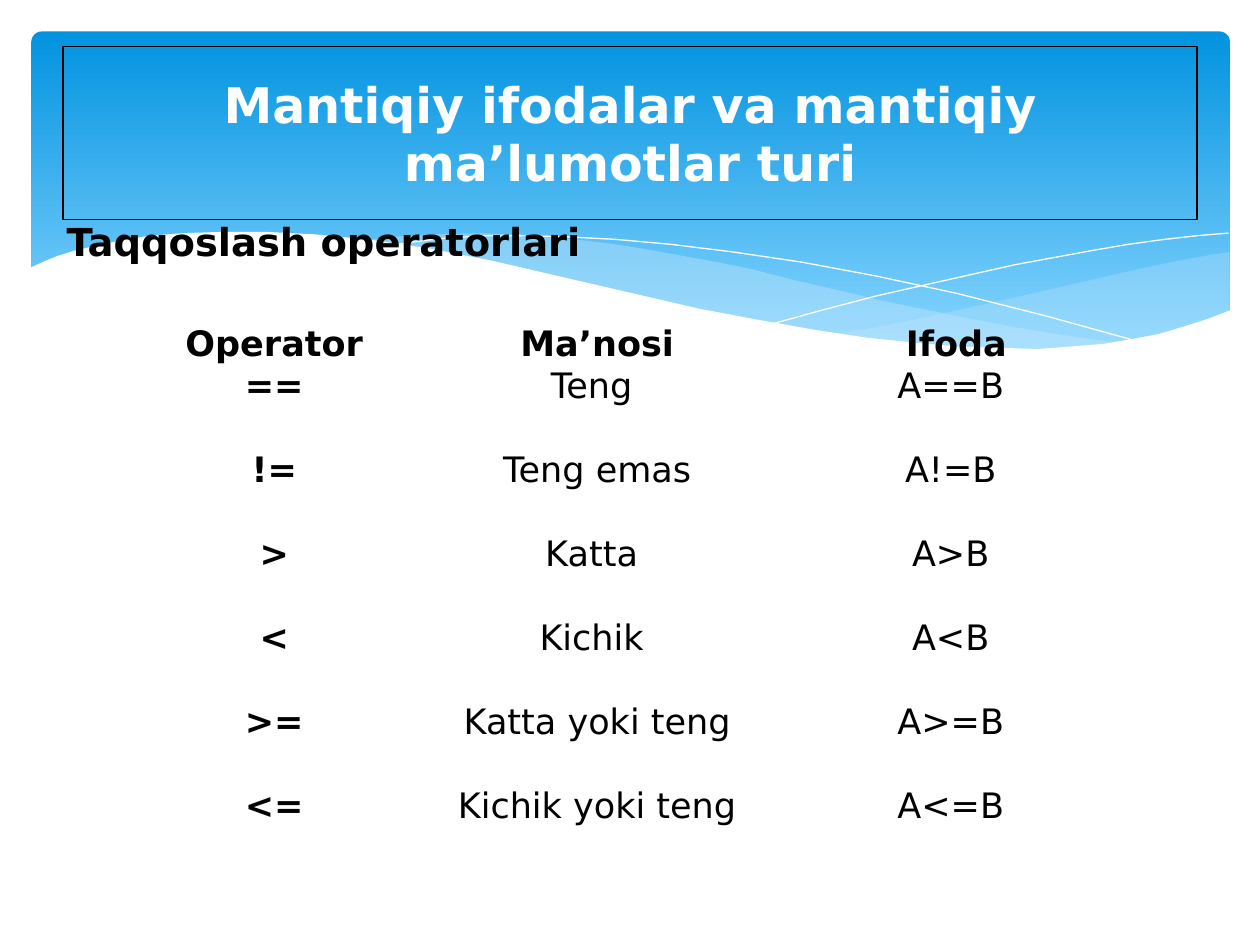
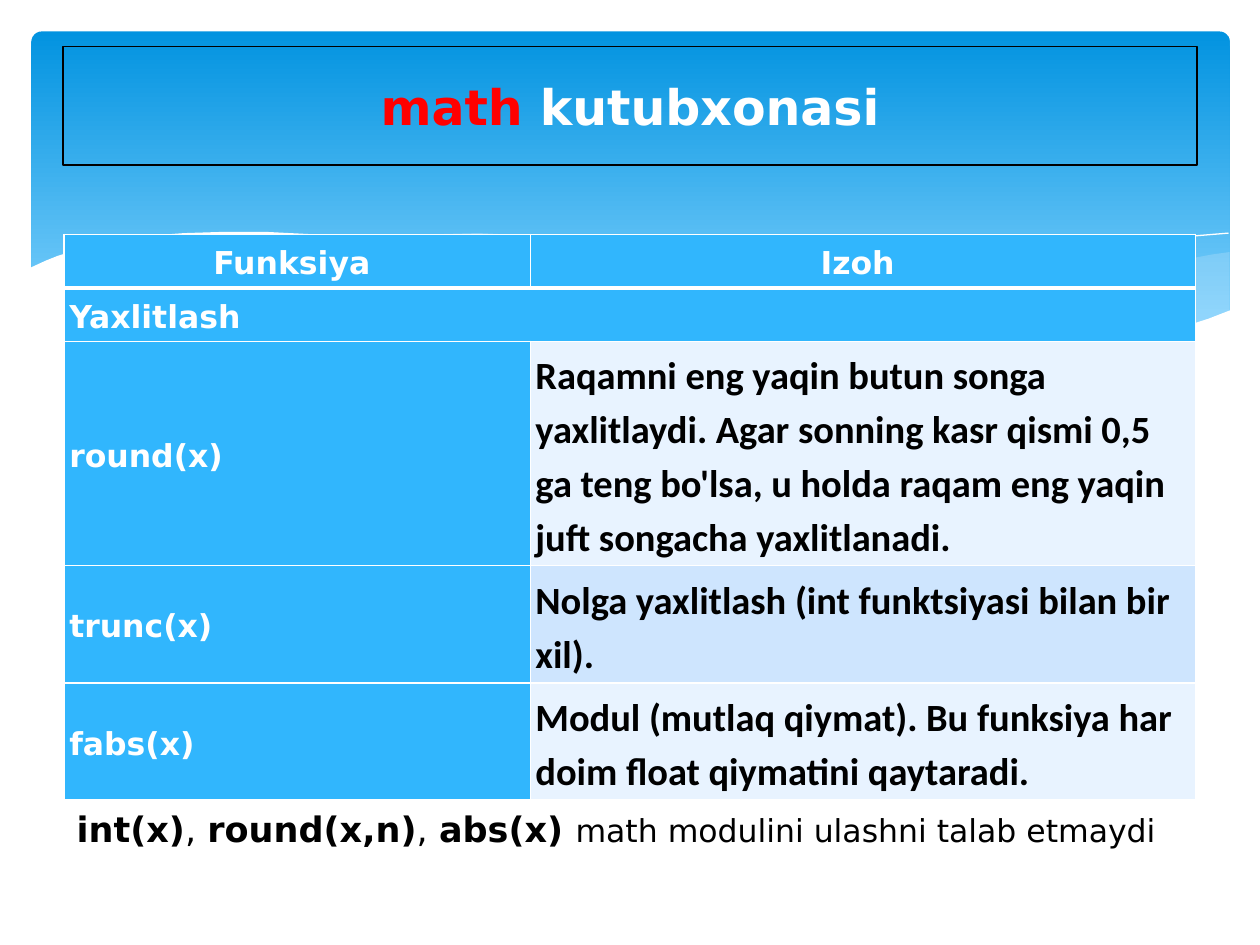
import pptx
import pptx.util
import pptx.dml.color
import pptx.enum.shapes
import pptx.enum.text
import pptx.oxml
import pptx.oxml.ns

RGBColor = pptx.dml.color.RGBColor
ALIGN = pptx.enum.text.PP_ALIGN
ANCHOR = pptx.enum.text.MSO_ANCHOR

# Scale: 100 px to the inch
EMU_PER_PX = 9144
SLIDE_WIDTH, SLIDE_HEIGHT = 1000, 750

# Colours
WHITE = RGBColor(0xFF, 0xFF, 0xFF)
BLACK = RGBColor(0x00, 0x00, 0x00)
RED = RGBColor(0xFF, 0x00, 0x00)
BAND_TOP = RGBColor(0x02, 0x93, 0xE0)
BAND_BOTTOM = RGBColor(0x83, 0xD3, 0xFE)
WAVE_TINT = RGBColor(0xC6, 0xE7, 0xFC)
HEADER_BLUE = RGBColor(0x31, 0xB6, 0xFD)
ROW_LIGHT = RGBColor(0xE8, 0xF3, 0xFF)
ROW_DARK = RGBColor(0xCE, 0xE5, 0xFE)

NO_TABLE_STYLE = "{2D5ABB26-0587-4C30-8999-92F81FD0307C}"


def text_format(size, color=BLACK, bold=True, name="DejaVu Sans"):
    return {"size": pptx.util.Pt(size), "name": name, "bold": bold, "color": color}


# Text formats
TITLE = text_format(28, WHITE)
TITLE_ACCENT = text_format(28, RED)
SUBTITLE = text_format(22)
STRONG = text_format(20)
PLAIN = text_format(20, bold=False)
NOTE = text_format(18, bold=False)
TABLE_HEAD = text_format(18, WHITE)
TABLE_BODY = text_format(22, name="Calibri")

# Outlines of the waves under the band
RIGHT_WAVE = [
    (976, 200), (962, 202), (935, 207), (906, 213), (876, 220), (832, 230),
    (779, 242), (729, 253), (683, 262), (661, 265), (691, 269), (719, 272),
    (745, 275), (781, 277), (814, 278), (844, 277), (872, 274), (897, 270),
    (921, 265), (942, 259), (963, 252), (976, 247)]
MIDDLE_WAVE = [
    (893, 273), (866, 269), (837, 265), (807, 260), (775, 254), (741, 247),
    (706, 240), (668, 231), (629, 222), (598, 214), (569, 208), (541, 203),
    (514, 198), (489, 194), (465, 191), (420, 187), (380, 185), (344, 186),
    (313, 188), (286, 191), (323, 196), (362, 203), (404, 211), (449, 222),
    (491, 232), (530, 240), (566, 248), (601, 255), (634, 261), (665, 266),
    (695, 270), (722, 274), (748, 276), (773, 277), (807, 278), (838, 278),
    (867, 276)]
FALLING_LINE = [
    (309, 195), (328, 192), (353, 189), (387, 187), (416, 187), (450, 188),
    (489, 190), (533, 194), (582, 200), (636, 208), (695, 219), (760, 233),
    (831, 251), (907, 272)]
RISING_LINE = [
    (613, 257), (653, 246), (695, 235), (748, 223), (806, 210), (866, 199),
    (895, 194), (924, 190), (951, 187), (975, 185)]
WHITE_WAVE = [
    (977, 246), (959, 253), (940, 259), (920, 265), (899, 269), (875, 273),
    (850, 275), (823, 277), (793, 276), (761, 275), (726, 272), (688, 268),
    (648, 262), (603, 254), (555, 245), (503, 233), (447, 220), (391, 207),
    (340, 197), (292, 190), (250, 186), (211, 184), (177, 184), (146, 185),
    (119, 187), (95, 191), (76, 195), (59, 199), (46, 203), (36, 207),
    (23, 213), (23, 329), (977, 329)]

# Slide content
COMPARISONS = [
    ("== ", "Teng ", "А==В "),
    ("!= ", "Teng emas", "А!=B "),
    ("> ", "Katta ", "A>B "),
    ("< ", "Kichik ", "A<B "),
    (">= ", "Katta yoki teng", "A>=B "),
    ("<= ", "Kichik yoki teng", "A<=B "),
]
FUNCTIONS = [
    ("round(x)", "Raqamni eng yaqin butun songa yaxlitlaydi. Agar sonning kasr "
     "qismi 0,5 ga teng bo'lsa, u holda raqam eng yaqin juft songacha yaxlitlanadi."),
    ("trunc(x)", "Nolga yaxlitlash (int funktsiyasi bilan bir xil)."),
    ("fabs(x)", "Modul (mutlaq qiymat). Bu funksiya har doim float qiymatini qaytaradi."),
]


def px(*lengths):
    return [pptx.util.Emu(length * EMU_PER_PX) for length in lengths]


def write_runs(text_frame, runs, **paragraph_format):
    paragraph = text_frame.paragraphs[0]
    for attribute, value in paragraph_format.items():
        setattr(paragraph, attribute, value)
    for text, run_format in runs:
        run = paragraph.add_run()
        run.text = text
        for attribute, value in run_format.items():
            if attribute == "color":
                run.font.color.rgb = value
            else:
                setattr(run.font, attribute, value)


def add_wave(slide, points, opacity=100, color=WAVE_TINT):
    builder = slide.shapes.build_freeform(*points[0], scale=EMU_PER_PX)
    builder.add_line_segments(points[1:], close=True)
    shape = builder.convert_to_shape()
    shape.shadow.inherit = False
    shape.line.fill.background()
    shape.fill.solid()
    shape.fill.fore_color.rgb = color
    if opacity < 100:
        color_element = shape.fill._xPr.find(".//" + pptx.oxml.ns.qn("a:srgbClr"))
        alpha = pptx.oxml.parse_xml(
            f'<a:alpha {pptx.oxml.ns.nsdecls("a")} val="{opacity * 1000}"/>')
        color_element.append(alpha)


def add_hairline(slide, points):
    builder = slide.shapes.build_freeform(*points[0], scale=EMU_PER_PX)
    builder.add_line_segments(points[1:], close=False)
    shape = builder.convert_to_shape()
    shape.shadow.inherit = False
    shape.fill.background()
    shape.line.color.rgb = WHITE
    shape.line.width = pptx.util.Pt(0)


def add_band(slide):
    band = slide.shapes.add_shape(
        pptx.enum.shapes.MSO_SHAPE.ROUNDED_RECTANGLE, *px(25, 25, 951, 270))
    band.adjustments[0] = 0.03
    band.shadow.inherit = False
    band.line.fill.background()
    band.fill.gradient()
    band.fill.gradient_angle = 270
    stops = [(0, BAND_TOP), (0.9, BAND_BOTTOM)]
    for stop, (position, color) in zip(band.fill.gradient_stops, stops):
        stop.position = position
        stop.color.rgb = color
    add_wave(slide, RIGHT_WAVE, opacity=29)
    add_wave(slide, MIDDLE_WAVE, opacity=40)
    add_hairline(slide, FALLING_LINE)
    add_hairline(slide, RISING_LINE)
    add_wave(slide, WHITE_WAVE, color=WHITE)


def add_text(slide, box, runs, **paragraph_format):
    shape = slide.shapes.add_textbox(*px(*box))
    shape.text_frame.word_wrap = True
    write_runs(shape.text_frame, runs, **paragraph_format)
    return shape


def add_title(slide, height, runs):
    title = add_text(slide, (50, 37, 900, height), runs, alignment=ALIGN.CENTER)
    title.text_frame.vertical_anchor = ANCHOR.MIDDLE
    title.line.color.rgb = BLACK
    title.line.width = pptx.util.Pt(0.75)


def add_plain_table(slide, box, column_widths, row_count):
    frame = slide.shapes.add_table(row_count, len(column_widths), *px(*box))
    table = frame.table
    table.first_row = table.horz_banding = False
    table._tbl.tblPr.find(pptx.oxml.ns.qn("a:tableStyleId")).text = NO_TABLE_STYLE
    for column, width in zip(table.columns, px(*column_widths)):
        column.width = width
    return table


def format_cell(cell, margin, anchor, fill=None):
    for side in ("left", "top", "right", "bottom"):
        setattr(cell, f"margin_{side}", px(margin)[0])
    cell.vertical_anchor = anchor
    if fill is None:
        cell.fill.background()
    else:
        cell.fill.solid()
        cell.fill.fore_color.rgb = fill


def add_cell_borders(cell, **widths):
    properties = cell._tc.get_or_add_tcPr()
    for side in "LRTB":
        width = pptx.util.Pt(widths.get(side, 1))
        properties.append(pptx.oxml.parse_xml(
            f'<a:ln{side} {pptx.oxml.ns.nsdecls("a")} w="{width}">'
            f'<a:solidFill><a:srgbClr val="{WHITE}"/></a:solidFill></a:ln{side}>'))


def add_comparison_table(slide):
    # A blank row stands between each two comparisons
    rows = [("Operator ", "Ma’nosi", "Ifoda")]
    for comparison in COMPARISONS:
        rows += [comparison, ()]
    rows.pop()
    table = add_plain_table(slide, (106, 257, 803, 400), (233, 270, 300), len(rows))
    for row_index, texts in enumerate(rows):
        for cell in table.rows[row_index].cells:
            format_cell(cell, 0, ANCHOR.TOP)
        for column_index, text in enumerate(texts):
            strong = row_index == 0 or column_index == 0
            write_runs(table.cell(row_index, column_index).text_frame,
                       [(text, STRONG if strong else PLAIN)], alignment=ALIGN.CENTER)


def add_function_table(slide):
    rows = [("Funksiya ", "Izoh "), ("Yaxlitlash", "")] + FUNCTIONS
    table = add_plain_table(slide, (51, 186, 898, 445), (370, 528), len(rows))
    for row, height in zip(table.rows, px(40, 41, 178, 93, 93)):
        row.height = height
    for row_index, texts in enumerate(rows):
        for column_index, text in enumerate(texts):
            cell = table.cell(row_index, column_index)
            is_body = row_index > 1 and column_index == 1
            body_fill = ROW_DARK if row_index % 2 else ROW_LIGHT
            add_cell_borders(cell, **{0: {"B": 3}, 1: {"T": 3}}.get(row_index, {}))
            format_cell(cell, 4, ANCHOR.MIDDLE, body_fill if is_body else HEADER_BLUE)
            if text:
                write_runs(cell.text_frame,
                           [(text, TABLE_BODY if is_body else TABLE_HEAD)],
                           alignment=ALIGN.LEFT if row_index else ALIGN.CENTER,
                           line_spacing=1.15)
    table.cell(1, 0).merge(table.cell(1, 1))


def add_slide(presentation):
    slide = presentation.slides.add_slide(presentation.slide_layouts[6])
    add_band(slide)
    return slide


def main():
    presentation = pptx.Presentation()
    presentation.slide_width, presentation.slide_height = px(SLIDE_WIDTH, SLIDE_HEIGHT)

    # Comparison operators
    slide = add_slide(presentation)
    add_title(slide, 137, [("Mantiqiy ifodalar va mantiqiy ma’lumotlar turi", TITLE)])
    add_text(slide, (43, 168, 906, 47), [("Taqqoslash operatorlari", SUBTITLE)])
    add_comparison_table(slide)

    # The math library
    slide = add_slide(presentation)
    add_title(slide, 94, [("math ", TITLE_ACCENT), ("kutubxonasi", TITLE)])
    add_function_table(slide)
    add_text(slide, (51, 619, 898, 61), [
        ("int(x)", STRONG), (", ", PLAIN), ("round(x,n)", STRONG), (", ", PLAIN),
        ("abs(x) ", STRONG), ("math modulini ulashni talab etmaydi", NOTE),
    ], line_spacing=1.5)

    presentation.save("out.pptx")


if __name__ == "__main__":
    main()
